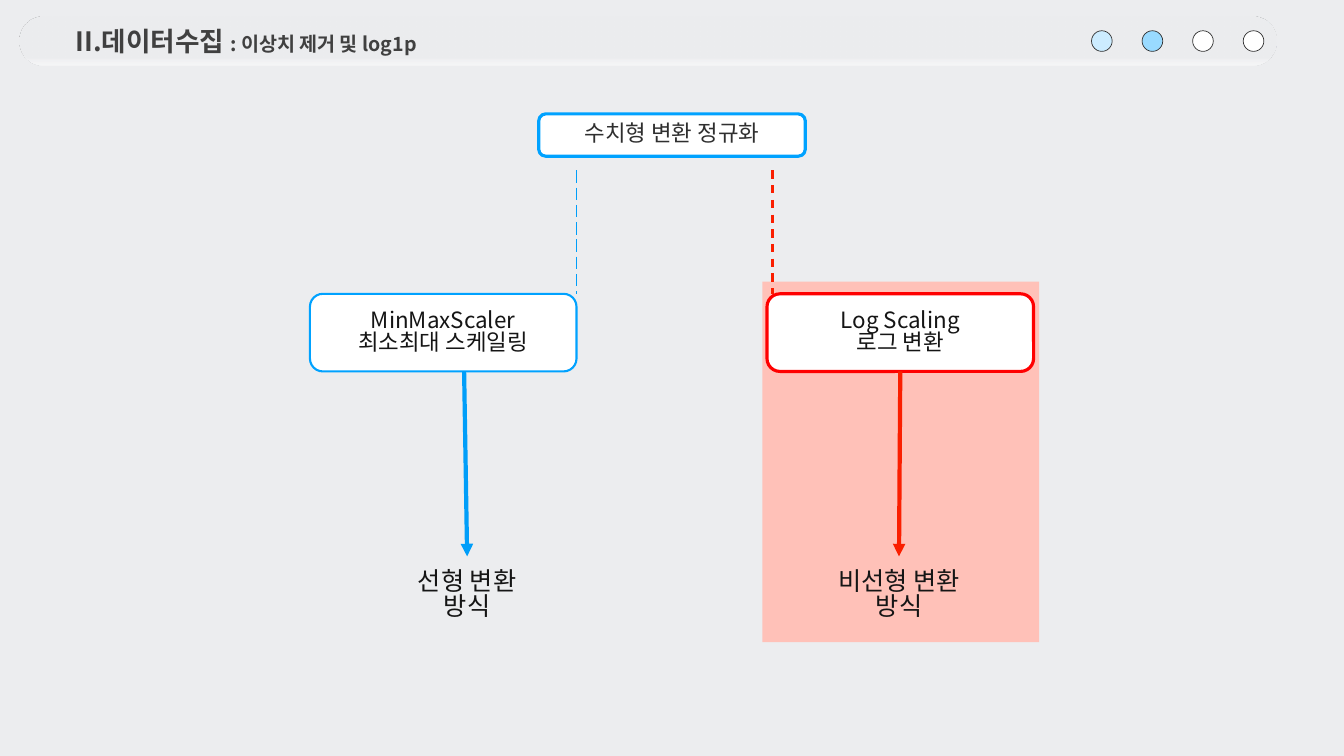
from dataclasses import dataclass
from typing import Optional

import pptx
import pptx.dml.color
import pptx.enum.dml
import pptx.enum.shapes
import pptx.enum.text
import pptx.oxml.ns
import pptx.util
from lxml import etree

Inches = pptx.util.Inches
Pt = pptx.util.Pt
Color = pptx.dml.color.RGBColor.from_string
Kind = pptx.enum.shapes.MSO_SHAPE
Dash = pptx.enum.dml.MSO_LINE
Align = pptx.enum.text.PP_ALIGN
qn = pptx.oxml.ns.qn


@dataclass(frozen=True)
class Theme:
    font: str = "Noto Sans CJK KR"
    back: str = "ECEDEF"
    white: str = "FFFFFF"
    title: str = "404040"
    dark: str = "2F2F2F"
    text: str = "151515"
    edge: str = "00A2FF"
    blue: str = "009EF9"
    red: str = "FF0000"
    flame: str = "FA1F00"
    pink: str = "FFC1B8"
    dots: tuple = ("CCECFF", "99DAFF", "FFFFFF", "FFFFFF")
    head: int = 38
    sub: int = 28
    node: int = 32
    note: int = 36
    lead: float = 0.82


@dataclass(frozen=True)
class Area:
    x: float
    y: float
    w: float
    h: float

    def emu(self) -> tuple:
        return tuple(Inches(v) for v in (self.x, self.y, self.w, self.h))


@dataclass(frozen=True)
class Node:
    area: Area
    lines: tuple
    edge: str
    width: float
    color: str


@dataclass(frozen=True)
class Link:
    start: tuple
    end: tuple
    color: str
    width: float
    dash: Optional[Dash] = None
    arrow: bool = False


T = Theme()


def add_run(para, text: str, size: int, color: str, bold: bool = False):
    run = para.add_run()
    run.text = text
    font = run.font
    font.name, font.size, font.bold = T.font, Pt(size), bold
    font.color.rgb = Color(color)
    east = etree.SubElement(run._r.get_or_add_rPr(), qn("a:ea"))
    east.set("typeface", T.font)


def set_frame(frame, inset: float):
    frame.word_wrap = True
    frame.vertical_anchor = pptx.enum.text.MSO_ANCHOR.MIDDLE
    frame.margin_left = frame.margin_right = Inches(inset)
    frame.margin_top = frame.margin_bottom = Inches(inset)


def add_lines(frame, lines: tuple, size: int, color: str):
    set_frame(frame, 0.06)
    for i, line in enumerate(lines):
        para = frame.add_paragraph() if i else frame.paragraphs[0]
        para.alignment = Align.CENTER
        para.line_spacing = T.lead
        add_run(para, line, size, color)


def add_form(slide, kind, area: Area, fill: str, edge: str = "", width: float = 0):
    form = slide.shapes.add_shape(kind, *area.emu())
    form.shadow.inherit = False
    form.fill.solid()
    form.fill.fore_color.rgb = Color(fill)
    if edge:
        form.line.color.rgb = Color(edge)
        form.line.width = Pt(width)
    else:
        form.line.fill.background()
    return form


def add_node(slide, node: Node):
    form = add_form(slide, Kind.ROUNDED_RECTANGLE, node.area, T.white, node.edge, node.width)
    add_lines(form.text_frame, node.lines, T.node, node.color)
    return form


def add_note(slide, area: Area, text: str):
    box = slide.shapes.add_textbox(*area.emu())
    add_lines(box.text_frame, (text,), T.note, T.text)
    return box


def add_link(slide, link: Link):
    ends = (Inches(v) for v in link.start + link.end)
    line = slide.shapes.add_connector(pptx.enum.shapes.MSO_CONNECTOR.STRAIGHT, *ends)
    line.line.color.rgb = Color(link.color)
    line.line.width = Pt(link.width)
    if link.dash:
        line.line.dash_style = link.dash
    if link.arrow:
        tail = etree.SubElement(line.line._get_or_add_ln(), qn("a:tailEnd"))
        tail.set("type", "triangle")
    etree.SubElement(line._element.spPr, qn("a:effectLst"))
    return line


def add_header(slide):
    # Rounded bar with a pale lower edge
    bar = add_form(slide, Kind.ROUNDED_RECTANGLE, Area(0.38, 0.33, 24.94, 0.97), T.back)
    bar.adjustments[0] = 0.5
    bar.fill.gradient()
    bar.fill.gradient_angle = 90
    low, high = bar.fill.gradient_stops
    low.color.rgb, low.position = Color(T.white), 0
    high.color.rgb, high.position = Color(T.back), 0.17
    tint = bar._element.spPr.find(".//" + qn("a:srgbClr"))
    etree.SubElement(tint, qn("a:alpha")).set("val", "50000")

    # Title
    box = slide.shapes.add_textbox(*Area(0.62, 0.39, 24.45, 0.84).emu())
    set_frame(box.text_frame, 0.1)
    para = box.text_frame.paragraphs[0]
    para._p.get_or_add_pPr().set("indent", str(Inches(0.78)))
    add_run(para, "II.데이터수집 ", T.head, T.title, True)
    add_run(para, ": 이상치 제거 및 log1p", T.sub, T.title, True)

    # Progress dots
    for i, fill in enumerate(T.dots):
        add_form(slide, Kind.OVAL, Area(21.66 + i * 1.0033, 0.61, 0.41, 0.41), fill, T.dark, 1)


def main():
    deck = pptx.Presentation()
    deck.slide_width, deck.slide_height = Inches(26.67), Inches(15)
    slide = deck.slides.add_slide(deck.slide_layouts[6])
    slide.background.fill.solid()
    slide.background.fill.fore_color.rgb = Color(T.back)
    add_header(slide)

    # Highlight behind the chosen method
    add_form(slide, Kind.RECTANGLE, Area(15.13, 5.59, 5.49, 7.15), T.pink)

    # Root and its two methods
    add_node(slide, Node(Area(10.69, 2.26, 5.29, 0.84), ("수치형 변환 정규화",), T.edge, 4.5, T.dark))
    add_node(slide, Node(Area(6.15, 5.83, 5.29, 1.54), ("MinMaxScaler", "최소최대 스케일링"), T.edge, 3, T.text))
    log = add_node(slide, Node(Area(15.22, 5.83, 5.29, 1.54), ("Log Scaling", "로그 변환"), T.red, 4.5, T.text))

    # Kind of transform each method gives
    linear = add_note(slide, Area(7.84, 11.04, 2.86, 1.55), "선형 변환 방식")
    curved = add_note(slide, Area(16.27, 11.04, 3.14, 1.55), "비선형 변환 방식")

    # Arrows down to the results
    left = add_link(slide, Link((9.21, 7.37), (9.27, 11.04), T.blue, 6, arrow=True))
    left.end_connect(linear, 0)
    right = add_link(slide, Link((17.87, 7.37), (17.84, 11.04), T.flame, 6, arrow=True))
    right.begin_connect(log, 2)
    right.end_connect(curved, 0)

    # Dashed branches from the root
    add_link(slide, Link((11.44, 3.38), (11.44, 5.83), T.blue, 2.25, Dash.LONG_DASH))
    add_link(slide, Link((15.33, 3.38), (15.33, 5.83), T.flame, 3, Dash.DASH))

    deck.save("out.pptx")


if __name__ == "__main__":
    main()
